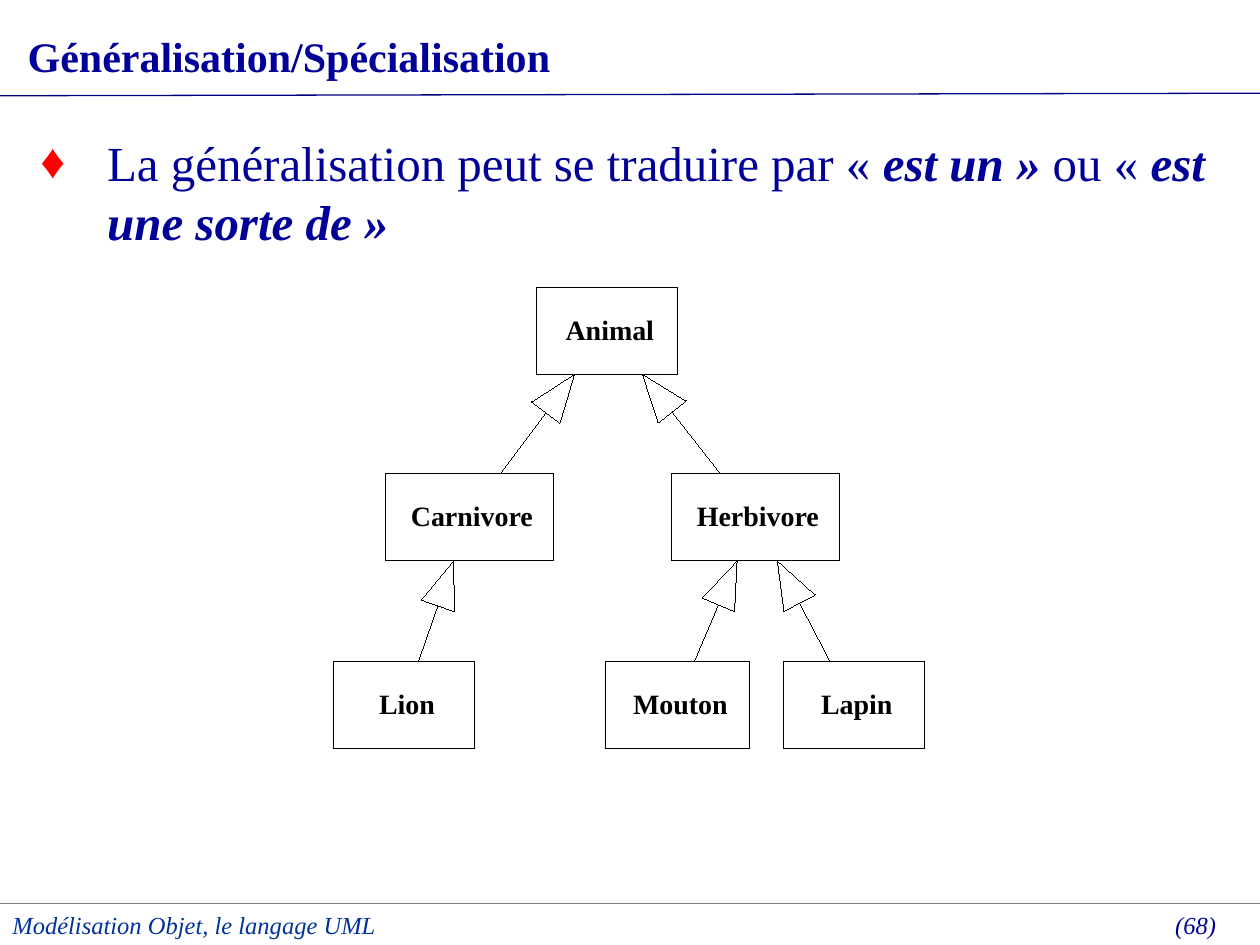
from math import hypot

from lxml.etree import SubElement
from pptx import Presentation
from pptx.dml.color import RGBColor
from pptx.enum.shapes import MSO_CONNECTOR, MSO_SHAPE
from pptx.enum.text import MSO_ANCHOR, MSO_AUTO_SIZE, PP_ALIGN
from pptx.oxml.ns import qn
from pptx.util import Inches, Pt

NAVY, BLUE, RED, BLACK, WHITE = "000099", "003399", "FF0000", "000000", "FFFFFF"
FONT = "Times New Roman"

TITLE = "Généralisation/Spécialisation"
BODY = [  # text, emphasised
    ("La généralisation peut se traduire par «\u00a0", False),
    ("est un\u00a0»", True),
    (" ou «\u00a0", False),
    ("est une sorte de\u00a0»", True),
]
FOOTERS = [  # text, box, colour, alignment
    ("Modélisation Objet, le langage UML", (0, 7.17, 5.67, 0.3), BLUE, PP_ALIGN.LEFT),
    ("(68)", (6.33, 7.17, 3.42, 0.28), NAVY, PP_ALIGN.RIGHT),
]
RULES = [  # from, to, colour, width
    ((0, 7.17), (10, 7.17), BLUE, 1),
    ((0, 7.17), (10, 7.17), "808080", 0.75),
    ((0, 0.76), (10, 0.74), "000080", 0.75),
]
LEVEL_TOPS = [2.28, 3.76, 5.25]
CLASS_H = 0.69
CLASSES = [  # name, level, left, width, label width
    ("Animal", 0, 4.26, 1.12, 0.8),
    ("Carnivore", 1, 3.06, 1.33, 1.08),
    ("Herbivore", 1, 5.33, 1.33, 1.08),
    ("Lion", 2, 2.65, 1.12, 0.55),
    ("Mouton", 2, 4.81, 1.14, 0.85),
    ("Lapin", 2, 6.22, 1.12, 0.67),
]
INHERITANCE = [  # child level, x at the child, x at the parent
    (1, 3.97, 4.56),
    (2, 3.32, 3.6),
    (2, 5.51, 5.85),
    (2, 6.59, 6.17),
    (1, 5.72, 5.1),
]
HEAD_LENGTH, HEAD_HALF = 0.38, 0.14


def rgb(color):
    return RGBColor.from_string(color)


def inches(values):
    return [Inches(v) for v in values]


def add_run(p, text, size, color, **formats):
    r = p.add_run()
    r.text = text
    r.font.color.rgb = rgb(color)
    for name, value in dict(name=FONT, size=Pt(size), **formats).items():
        setattr(r.font, name, value)


def place(sp, box):
    sp.left, sp.top, sp.width, sp.height = inches(box)


def add_text(s, box, text, size, color, align, **formats):
    tf = s.shapes.add_textbox(*inches(box)).text_frame
    tf.word_wrap = True
    p = tf.paragraphs[0]
    p.alignment = align
    add_run(p, text, size, color, **formats)
    return tf


def set_line(sp, color, width):
    """Colour the line; the width is written even at 0, which gives a hairline."""
    sp.line.color.rgb = rgb(color)
    sp._element.spPr.find(qn("a:ln")).set("w", str(Pt(width)))


def add_line(s, start, end, color, width):
    line = s.shapes.add_connector(MSO_CONNECTOR.STRAIGHT, *inches(start + end))
    set_line(line, color, width)
    SubElement(line._element.spPr, qn("a:effectLst"))


def outline(sp):
    sp.shadow.inherit = False
    set_line(sp, BLACK, 0)


def add_class(s, name, level, left, width, label_width):
    top = LEVEL_TOPS[level]
    sp = s.shapes.add_shape(MSO_SHAPE.RECTANGLE, *inches((left, top, width, CLASS_H)))
    sp.fill.background()
    outline(sp)
    label_left = left + (width - label_width) / 2 + 0.02
    tf = add_text(s, (label_left, top + 0.2, label_width, 0.27), name, 16, BLACK,
                  PP_ALIGN.CENTER, bold=True)
    tf.word_wrap = False
    for side in ("left", "top", "right", "bottom"):
        setattr(tf, f"margin_{side}", 0)


def add_inheritance(s, level, child_x, parent_x):
    """Draw a line up to the parent, ending in a hollow UML triangle."""
    start = (child_x, LEVEL_TOPS[level])
    tip = (parent_x, LEVEL_TOPS[level - 1] + CLASS_H)
    add_line(s, start, tip, BLACK, 0)
    dx, dy = start[0] - tip[0], start[1] - tip[1]
    length = hypot(dx, dy)
    ux, uy = dx / length, dy / length
    corners = [
        inches((tip[0] + HEAD_LENGTH * ux + side * uy,
                tip[1] + HEAD_LENGTH * uy - side * ux))
        for side in (HEAD_HALF, -HEAD_HALF)
    ]
    builder = s.shapes.build_freeform(*inches(tip))
    builder.add_line_segments(corners, close=True)
    head = builder.convert_to_shape()
    head.fill.solid()
    head.fill.fore_color.rgb = rgb(WHITE)
    outline(head)


def fill_title(sp):
    place(sp, (0.12, 0.19, 9.75, 0.5))
    tf = sp.text_frame
    tf.vertical_anchor = MSO_ANCHOR.MIDDLE
    tf.auto_size = MSO_AUTO_SIZE.SHAPE_TO_FIT_TEXT
    p = tf.paragraphs[0]
    p.alignment = PP_ALIGN.LEFT
    add_run(p, TITLE, 24, NAVY, bold=True)


def fill_body(sp):
    place(sp, (0.22, 1, 9.5, 1.04))
    tf = sp.text_frame
    tf.auto_size = MSO_AUTO_SIZE.SHAPE_TO_FIT_TEXT
    p = tf.paragraphs[0]
    p.space_before = Pt(0)
    pPr = p._p.get_or_add_pPr()
    pPr.set("marL", str(Inches(0.53)))
    pPr.set("indent", str(Inches(-0.53)))
    SubElement(SubElement(pPr, qn("a:buClr")), qn("a:srgbClr"), val=RED)
    SubElement(pPr, qn("a:buFont"), typeface=FONT)
    SubElement(pPr, qn("a:buChar"), char="♦")
    for text, strong in BODY:
        add_run(p, text, 28, NAVY, bold=strong, italic=strong)


def main():
    prs = Presentation()
    prs.slide_width, prs.slide_height = inches((10, 7.5))
    s = prs.slides.add_slide(prs.slide_layouts[1])
    fill_title(s.shapes.title)
    fill_body(s.placeholders[1])
    for rule in RULES:
        add_line(s, *rule)
    for text, box, color, align in FOOTERS:
        add_text(s, box, text, 14, color, align, italic=True)
    for item in CLASSES:
        add_class(s, *item)
    for item in INHERITANCE:
        add_inheritance(s, *item)
    prs.save("out.pptx")


if __name__ == "__main__":
    main()
